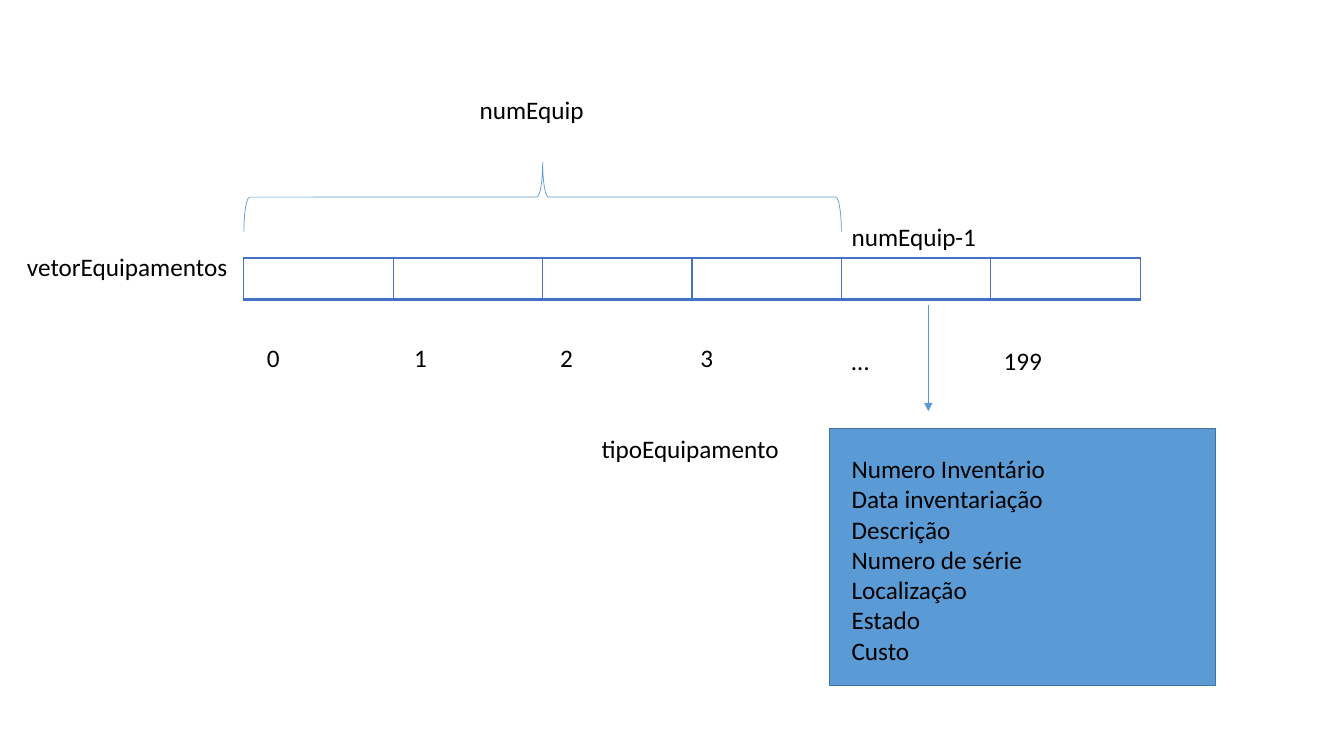
from dataclasses import dataclass

from lxml.etree import SubElement
from pptx import Presentation
from pptx.dml.color import RGBColor
from pptx.enum.shapes import MSO_CONNECTOR, MSO_SHAPE
from pptx.oxml.ns import qn
from pptx.util import Pt

BLACK, BLUE, DARK_BLUE, BORDER = "000000", "5B9BD5", "43739E", "4472C4"
CELLS = 6
CELL_W = 106.7
ARRAY_X, ARRAY_Y, ARRAY_H = 174.2, 184.3, 29.5
FIELDS = ("Numero Inventário", "Data inventariação", "Descrição",
          "Numero de série", "Localização", "Estado", "Custo")


@dataclass(frozen=True)
class Label:
    """Text lines with the position and size of their box."""
    lines: tuple[str, ...]
    x: float
    y: float
    w: float
    h: float = 29


INDICES = [
    Label((text,), x, y, 99.5)
    for text, x, y in (("0", 183.6, 241.2), ("1", 288.7, 241.2), ("2", 393.1, 241.2),
                       ("3", 493.2, 241.2), ("…", 601.2, 243.2), ("199", 709.9, 243.2))
]
NAMES = [
    Label(("vetorEquipamentos",), 12.2, 175.7, 162),
    Label(("numEquip",), 335.5, 64, 138.2),
    Label(("numEquip-1",), 601.2, 154.8, 133.2),
    Label(("tipoEquipamento",), 422.6, 306, 157),
]


def color(value: str) -> RGBColor:
    """Turn a hex string into a colour."""
    return RGBColor.from_string(value)


def style_line(line, value: str, width: float) -> None:
    """Set the colour and width of a line."""
    line.color.rgb = color(value)
    line.width = Pt(width)


def add_label(shapes, label: Label) -> None:
    """Add a text box with one paragraph per line."""
    tf = shapes.add_textbox(Pt(label.x), Pt(label.y), Pt(label.w), Pt(label.h)).text_frame
    tf.word_wrap = True
    for i, text in enumerate(label.lines):
        p = tf.paragraphs[0] if i == 0 else tf.add_paragraph()
        r = p.add_run()
        r.text = text
        r.font.name = "Calibri"
        r.font.size = Pt(18)
        r.font.color.rgb = color(BLACK)


def set_borders(cell) -> None:
    """Outline a cell, with a heavier bottom edge."""
    pr = cell._tc.get_or_add_tcPr()
    for i, (side, width) in enumerate((("L", 1), ("R", 1), ("T", 1), ("B", 2))):
        ln = pr.makeelement(qn(f"a:ln{side}"), {"w": str(Pt(width))})
        fill = SubElement(ln, qn("a:solidFill"))
        SubElement(fill, qn("a:srgbClr"), val=BORDER)
        pr.insert(i, ln)


def add_array(shapes) -> None:
    """Add the one-row table that stands for the vector."""
    table = shapes.add_table(1, CELLS, Pt(ARRAY_X), Pt(ARRAY_Y),
                             Pt(CELLS * CELL_W), Pt(ARRAY_H)).table
    table.first_row = table.horz_banding = False
    for column in table.columns:
        column.width = Pt(CELL_W)
    for cell in table.iter_cells():
        cell.fill.background()
        set_borders(cell)


def add_brace(shapes) -> None:
    """Add the brace over the cells in use."""
    length, depth = 4 * CELL_W, 49.7
    center_x, center_y = ARRAY_X + length / 2, 140.8
    sp = shapes.add_shape(MSO_SHAPE.LEFT_BRACE, Pt(center_x - depth / 2),
                          Pt(center_y - length / 2), Pt(depth), Pt(length))
    sp.rotation = 90
    sp.shadow.inherit = False
    sp.fill.background()
    style_line(sp.line, BLUE, 0.5)


def add_arrow(shapes, x: float, top: float, bottom: float) -> None:
    """Add a downward arrow."""
    cx = shapes.add_connector(MSO_CONNECTOR.STRAIGHT, Pt(x), Pt(top), Pt(x), Pt(bottom))
    style_line(cx.line, BLUE, 0.5)
    SubElement(cx.line._get_or_add_ln(), qn("a:tailEnd"), type="triangle")
    SubElement(cx._element.spPr, qn("a:effectLst"))


def add_record(shapes) -> None:
    """Add the filled box and the fields of the record."""
    sp = shapes.add_shape(MSO_SHAPE.RECTANGLE, Pt(592.6), Pt(306), Pt(275.8), Pt(183.6))
    sp.shadow.inherit = False
    sp.fill.solid()
    sp.fill.fore_color.rgb = color(BLUE)
    style_line(sp.line, DARK_BLUE, 1)
    add_label(shapes, Label(FIELDS, 601.2, 320.4, 263.5, 203.8))


def main() -> None:
    """Build the slide and save it."""
    prs = Presentation()
    prs.slide_width, prs.slide_height = Pt(960), Pt(540)
    shapes = prs.slides.add_slide(prs.slide_layouts[6]).shapes
    add_array(shapes)
    add_brace(shapes)
    for label in NAMES + INDICES:
        add_label(shapes, label)
    add_arrow(shapes, 663.1, 218.2, 293.8)
    add_record(shapes)
    prs.save("out.pptx")


main()
